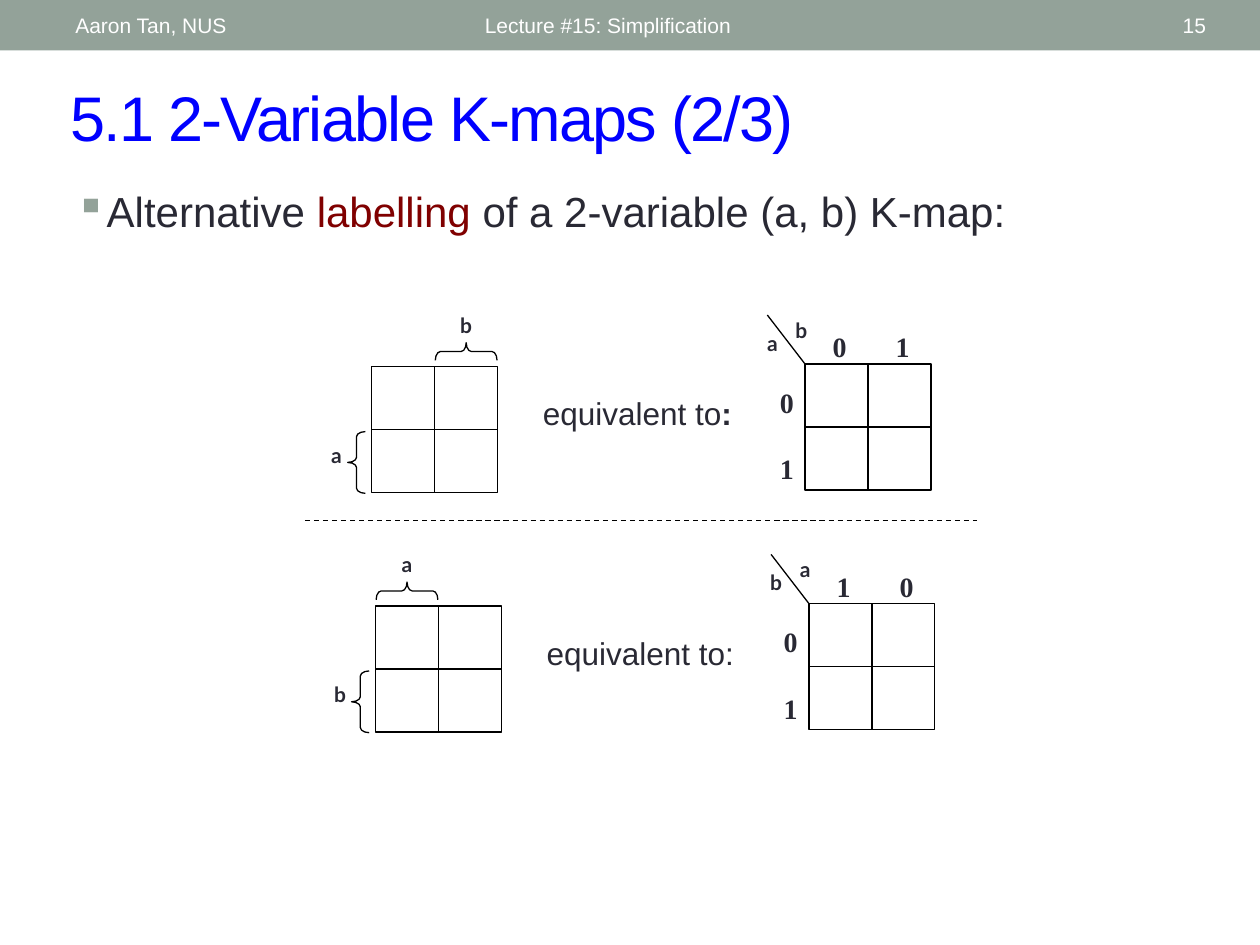
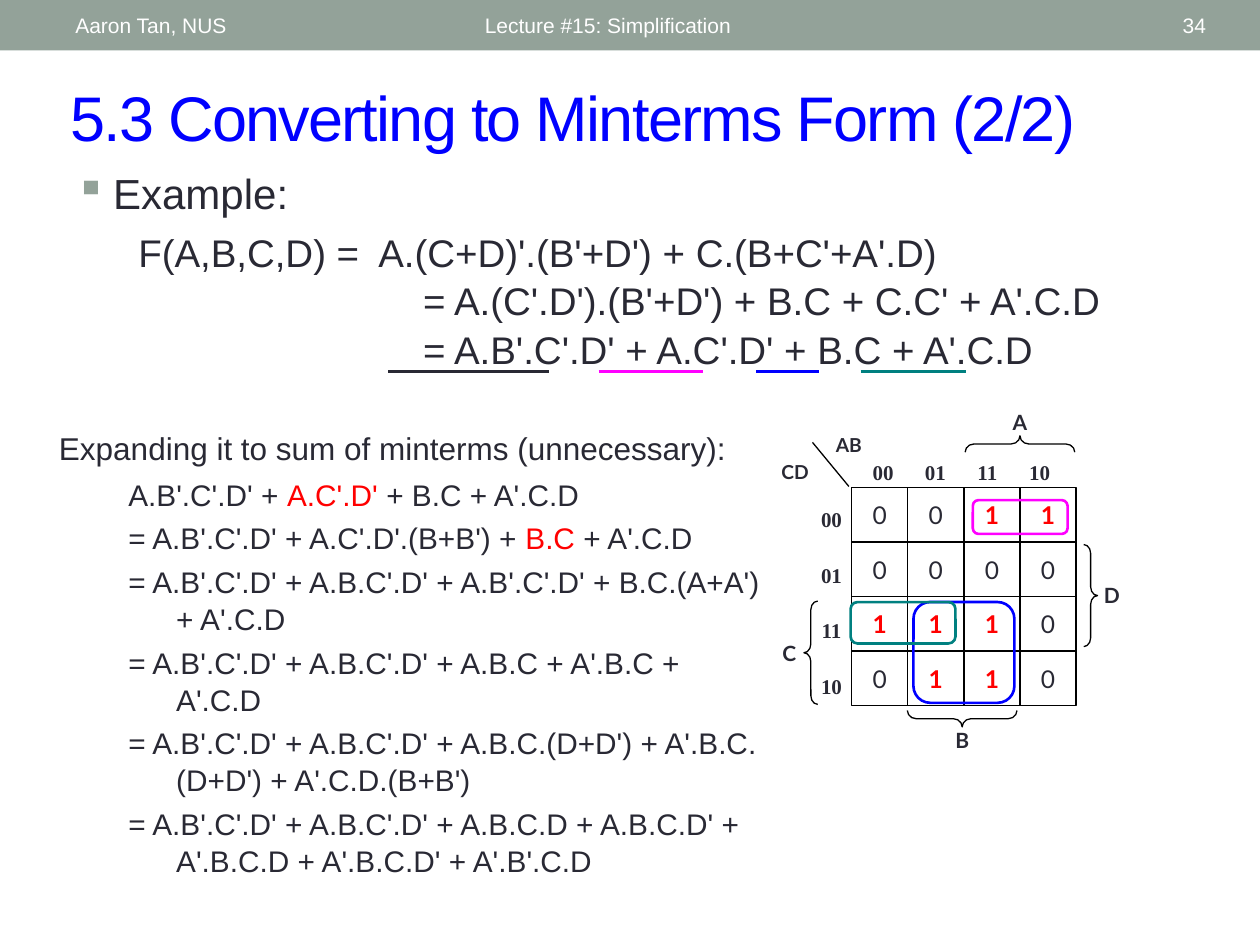
from dataclasses import dataclass

from lxml import etree
from pptx import Presentation
from pptx import util as u
from pptx.dml.color import RGBColor
from pptx.enum import dml, shapes, text
from pptx.oxml.ns import qn

WIDTH, HEIGHT = 10, 7.5
BAND, TITLE, INK, WHITE, BLACK = "93A299", "0000FF", "292934", "FFFFFF", "000000"
RED, MAROON, BLUE, TEAL, MAGENTA = "FF0000", "800000", "0000FF", "008080", "FF00FF"
SANS, LABEL, SERIF = "Arial", "Lato", "Times New Roman"
CENTER, RIGHT = text.PP_ALIGN.CENTER, text.PP_ALIGN.RIGHT
MIDDLE = text.MSO_ANCHOR.MIDDLE

# side a brace points to: rotation and outward direction
SIDES = {"left": (0, -1, 0), "top": (90, 0, -1),
         "right": (180, 1, 0), "bottom": (270, 0, 1)}


@dataclass
class Grid:
    left: float
    top: float
    cell_w: float
    cell_h: float
    size: int

    def at(self, col, row):
        """Position in inches of a point counted in cells."""
        return self.left + col * self.cell_w, self.top + row * self.cell_h

    def box(self, col, row, cols, rows):
        return *self.at(col, row), cols * self.cell_w, rows * self.cell_h


def rgb(color):
    return RGBColor.from_string(color)


def inches(values):
    return [u.Inches(value) for value in values]


def format_paragraph(par, runs, size=18, font=SANS, color=INK, bold=False,
                     align=None, before=0, spacing=None, margin=0, indent=0,
                     bullet=None, tracking=None):
    props = par._p.get_or_add_pPr()
    if margin:
        props.set("marL", str(u.Inches(margin)))
        props.set("indent", str(u.Inches(indent)))
    if bullet:
        tint = etree.SubElement(props, qn("a:buClr"))
        etree.SubElement(tint, qn("a:srgbClr")).set("val", BAND)
        etree.SubElement(props, qn("a:buChar")).set("char", bullet)
    par.alignment = align
    par.space_before = u.Pt(before)
    if spacing:
        par.line_spacing = spacing
    for item in [runs] if isinstance(runs, str) else runs:
        words, own = (item, {}) if isinstance(item, str) else item
        run = par.add_run()
        run.text = words
        run.font.name, run.font.size = font, u.Pt(size)
        run.font.bold = own.get("bold", bold)
        run.font.color.rgb = rgb(own.get("color", color))
        if tracking:
            run.font._element.set("spc", str(tracking))


def write(slide, box, *paragraphs, anchor=None, wrap=True, before=0, **shared):
    """Each paragraph is a string, a list of runs, or a dict with its own format."""
    frame = slide.shapes.add_textbox(*inches(box)).text_frame
    frame.word_wrap = wrap
    frame.vertical_anchor = anchor
    for i, content in enumerate(paragraphs):
        par = frame.add_paragraph() if i else frame.paragraphs[0]
        own = content if isinstance(content, dict) else {"runs": content}
        format_paragraph(par, **{"before": before if i else 0, **shared, **own})


def label(slide, words, center, font=LABEL, size=12, bold=True, color=INK):
    x, y = center
    w, h = 0.6, 0.36
    write(slide, (x - w / 2, y - h / 2, w, h), words, anchor=MIDDLE, wrap=False,
          align=CENTER, font=font, size=size, bold=bold, color=color)


def outline(slide, kind, box, color=BLACK, width=0.75, fill=None):
    shape = slide.shapes.add_shape(kind, *inches(box))
    shape.shadow.inherit = False
    if fill:
        shape.fill.solid()
        shape.fill.fore_color.rgb = rgb(fill)
        shape.line.fill.background()
    else:
        shape.fill.background()
        shape.line.color.rgb = rgb(color)
        shape.line.width = u.Pt(width)
    return shape


def line(slide, start, end, color=BLACK, width=0.75, dash=None):
    stroke = slide.shapes.add_connector(shapes.MSO_CONNECTOR.STRAIGHT,
                                        *inches((*start, *end)))
    stroke.line.color.rgb = rgb(color)
    stroke.line.width = u.Pt(width)
    if dash:
        stroke.line.dash_style = dash
    etree.SubElement(stroke._element.spPr, qn("a:effectLst"))
    return stroke


def brace(slide, side, center, span, depth, curl, name, gap, lift=0):
    """Brace pointing to one side, with its variable beyond the point."""
    rotation, dx, dy = SIDES[side]
    x, y = center
    shape = outline(slide, shapes.MSO_SHAPE.LEFT_BRACE,
                    (x - depth / 2, y - span / 2, depth, span))
    shape.rotation = rotation
    shape.adjustments[0] = curl
    label(slide, name, (x + dx * gap, y + dy * gap - lift))


def draw_cells(slide, grid):
    n = grid.size
    frame = outline(slide, shapes.MSO_SHAPE.RECTANGLE, grid.box(0, 0, n, n))
    for i in range(1, n):
        across = line(slide, grid.at(0, i), grid.at(n, i))
        down = line(slide, grid.at(i, 0), grid.at(i, n))
        if 2 * i == n:
            for stroke, begin, end in ((across, 1, 3), (down, 0, 2)):
                stroke.begin_connect(frame, begin)
                stroke.end_connect(frame, end)


def axis_values(slide, grid, columns, rows, first, step, size):
    """Values above the columns and left of the rows, positions in cells."""
    for i, (column, row) in enumerate(zip(columns, rows)):
        label(slide, column, grid.at(first[0] + i * step[0], -0.28), SERIF, size)
        label(slide, row, grid.at(-0.72 / grid.size ** 0.5 + 0.22 if grid.size == 2
                                  else -0.36, first[1] + i * step[1]), SERIF, size)


def braced_map(slide, left, top, over, over_col, beside):
    grid = Grid(left, top, 0.5, 0.5, 2)
    draw_cells(slide, grid)
    style = {"span": 0.49, "depth": 0.14, "curl": 0.29}
    brace(slide, "top", grid.at(over_col + 0.5, -0.24), name=over, gap=0.21, **style)
    brace(slide, "left", grid.at(-0.24, 1.52), name=beside, gap=0.16, lift=0.06,
          **style)


def indexed_map(slide, left, top, over, beside, columns):
    grid = Grid(left, top, 0.5, 0.5, 2)
    draw_cells(slide, grid)
    line(slide, grid.at(0, 0), grid.at(-0.6, -0.78))
    label(slide, beside, grid.at(-0.52, -0.34))
    label(slide, over, grid.at(-0.06, -0.54))
    axis_values(slide, grid, columns, "01", (0.55, 0.6), (1, 1.06), 16)


def minterm_map(slide, left, top, width, height):
    grid = Grid(left, top, width / 4, height / 4, 4)
    draw_cells(slide, grid)
    line(slide, grid.at(-0.05, -0.02), grid.at(-0.7, -0.83))
    label(slide, "CD", grid.at(-1.01, -0.29), size=11)
    label(slide, "AB", grid.at(-0.05, -0.79), size=11)
    gray_code = ["00", "01", "11", "10"]
    axis_values(slide, grid, gray_code, gray_code, (0.56, 0.58), (0.93, 1.02), 12)

    for side, col, row, span, depth, curl, name in (
            ("left", -0.73, 3.03, 0.82, 0.11, 0.63, "C"),
            ("top", 3, -0.8, 0.87, 0.13, 0.54, "A"),
            ("bottom", 1.97, 4.24, 0.87, 0.13, 0.54, "B"),
            ("right", 4.26, 1.98, 0.81, 0.11, 0.63, "D")):
        brace(slide, side, grid.at(col, row), span, depth, curl, name, 0.17)

    for row, values in enumerate(("0011", "0000", "1110", "0110")):
        for col, value in enumerate(values):
            one = value == "1"
            label(slide, value, grid.at(col + 0.5, row + 0.5), size=14, bold=one,
                  color=RED if one else INK)

    for color, *cells in ((BLUE, 1.1, 2.1, 1.8, 1.85),
                          (TEAL, -0.02, 2.1, 1.87, 0.76),
                          (MAGENTA, 2.16, 0.23, 1.69, 0.62)):
        outline(slide, shapes.MSO_SHAPE.ROUNDED_RECTANGLE, grid.box(*cells),
                color, 1.5)


def start_slide(deck, title, number):
    """Blank slide with the header band and title that all slides share."""
    slide = deck.slides.add_slide(deck.slide_layouts[6])
    outline(slide, shapes.MSO_SHAPE.RECTANGLE, (0, 0, WIDTH, 0.4), fill=BAND)
    for words, left, width, align in (
            ("Lecture #15: Simplification", 3.75, 4.5, None),
            (str(number), 8.72, 0.95, RIGHT),
            ("Aaron Tan, NUS", 0.5, 3.17, None)):
        write(slide, (left, 0.02, width, 0.36), words, anchor=MIDDLE, size=12,
              color=WHITE, align=align)
    write(slide, (0.46, 0.57, 9.07, 0.7), title, anchor=MIDDLE, size=36,
          color=TITLE, tracking=-100)
    return slide


def labelling_slide(deck):
    slide = start_slide(deck, "5.1 2-Variable K-maps (2/3)", 15)
    write(slide, (0.5, 1.42, 9, 0.64),
          ["Alternative ", ("labelling", {"color": MAROON}),
           " of a 2-variable (a, b) K-map:"],
          size=24, margin=0.2, indent=-0.2, bullet="▪")
    for left, top, over, over_col, beside, columns, bold_colon in (
            (2.95, 2.91, "b", 1, "a", "01", True),
            (2.98, 4.81, "a", 0, "b", "10", False)):
        braced_map(slide, left, top, over, over_col, beside)
        write(slide, (left + 1.26, top + 0.17, 1.8, 0.4),
              ["equivalent to", (":", {"bold": bold_colon})])
        indexed_map(slide, left + 3.44, top - 0.02, over, beside, columns)
    line(slide, (2.42, 4.13), (7.75, 4.13), dash=dml.MSO_LINE.DASH)


def minterms_slide(deck):
    slide = start_slide(deck, "5.3 Converting to Minterms Form (2/2)", 34)
    derived = {"size": 22, "spacing": 1.05, "margin": 2.76}
    write(slide, (0.5, 1.28, 9, 1.7),
          {"runs": "Example:", "size": 24, "margin": 0.3, "indent": -0.3,
           "bullet": "▪"},
          {"runs": "F(A,B,C,D) =  A.(C+D)'.(B'+D') + C.(B+C'+A'.D)",
           **derived, "margin": 0.5, "before": 5},
          {"runs": "= A.(C'.D').(B'+D') + B.C + C.C' + A'.C.D", **derived},
          {"runs": "= A.B'.C'.D' + A.C'.D' + B.C + A'.C.D", **derived})
    for start, end, color in ((3.08, 4.36, INK), (4.75, 5.58, MAGENTA),
                              (6, 6.5, BLUE), (6.83, 7.67, TEAL)):
        line(slide, (start, 2.95), (end, 2.95), color, 1.5)

    write(slide, (0.37, 3.36, 5.54, 0.4),
          "Expanding it to sum of minterms (unnecessary):")
    write(slide, (0.92, 3.72, 5.25, 3.42),
          ["A.B'.C'.D' + ", ("A.C'.D'", {"color": RED}), " + B.C + A'.C.D"],
          ["= A.B'.C'.D' + A.C'.D'.(B+B') + ", ("B.C", {"color": RED}),
           " + A'.C.D"],
          "= A.B'.C'.D' + A.B.C'.D' + A.B'.C'.D' + B.C.(A+A') + A'.C.D",
          "= A.B'.C'.D' + A.B.C'.D' + A.B.C + A'.B.C + A'.C.D",
          "= A.B'.C'.D' + A.B.C'.D' + A.B.C.(D+D') + A'.B.C.(D+D') + A'.C.D.(B+B')",
          "= A.B'.C'.D' + A.B.C'.D' + A.B.C.D + A.B.C.D' + A'.B.C.D + A'.B.C.D'"
          " + A'.B'.C.D",
          size=17, margin=0.38, indent=-0.38, before=3.7, spacing=1.04)
    minterm_map(slide, 6.76, 3.87, 1.78, 1.73)


def main():
    deck = Presentation()
    deck.slide_width, deck.slide_height = inches((WIDTH, HEIGHT))
    labelling_slide(deck)
    minterms_slide(deck)
    deck.save("out.pptx")


if __name__ == "__main__":
    main()
